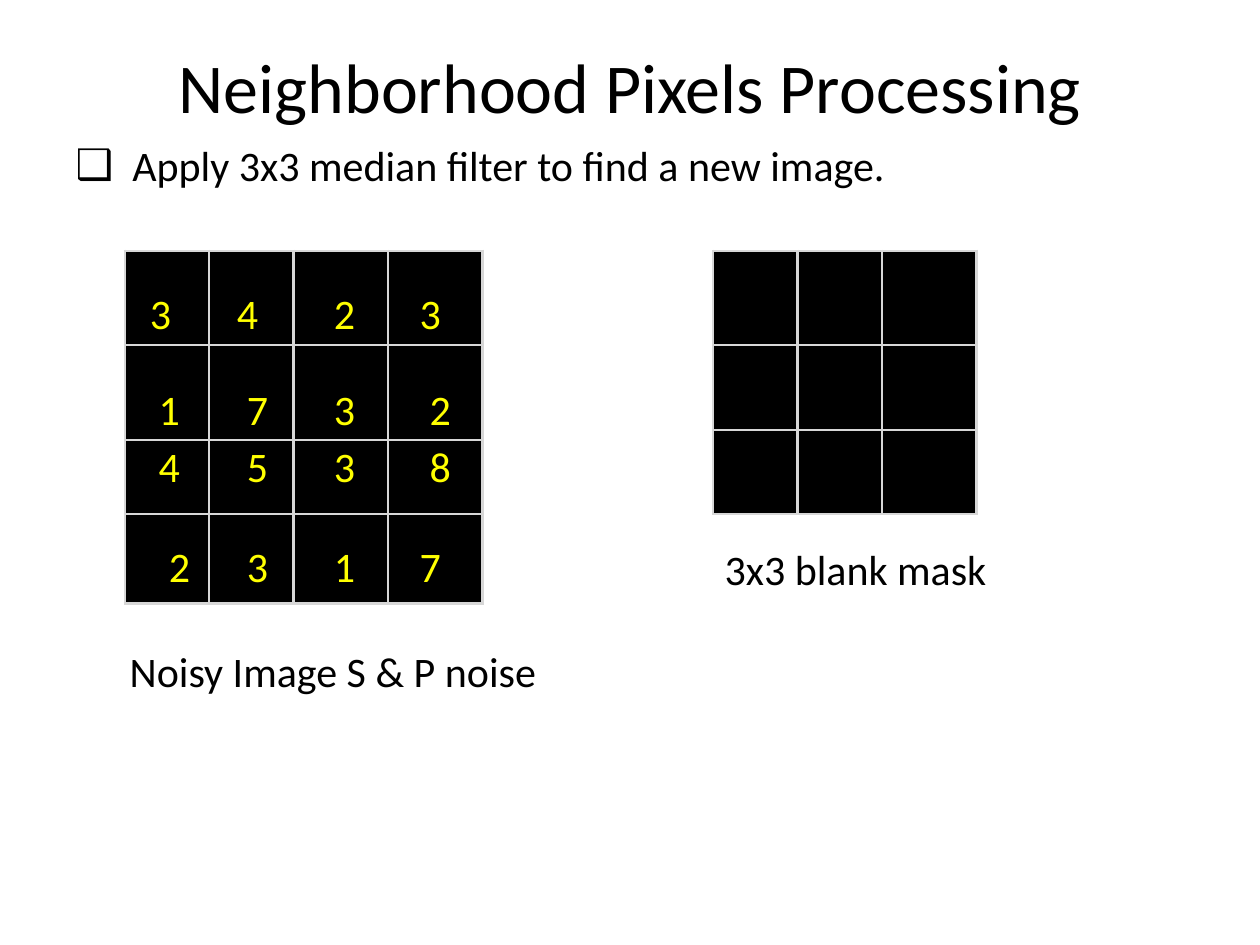
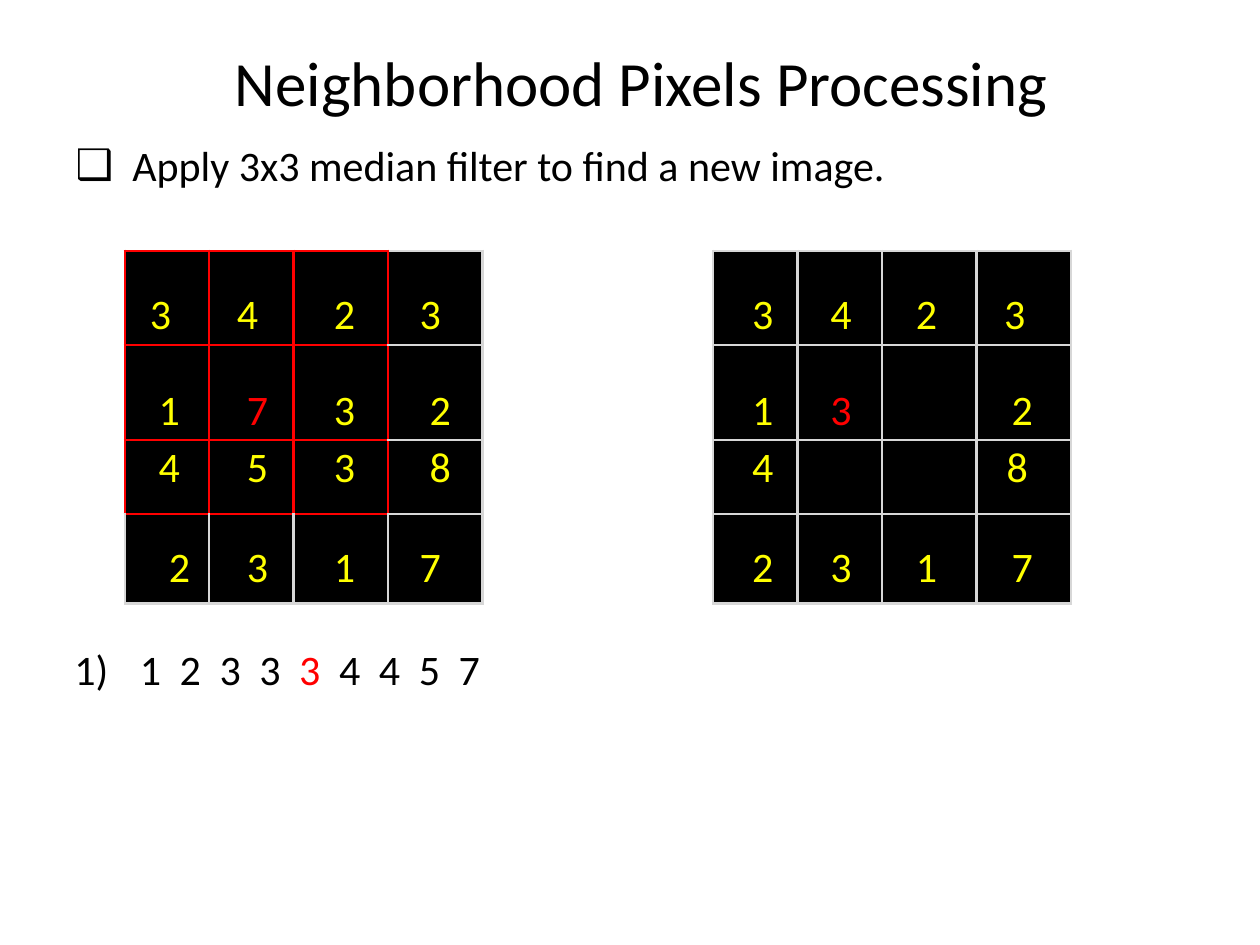
from dataclasses import dataclass
from itertools import product
from lxml import etree
from pptx import Presentation
from pptx import util as u
from pptx.dml.color import RGBColor
from pptx.enum import text
from pptx.oxml import ns


@dataclass
class Theme:
    font: str = "Calibri"
    size: int = 24
    ink: str = "000000"
    cell: str = "000000"
    digit: str = "FFFF00"
    hot: str = "FF0000"
    line: str = "D7D7D7"


look = Theme()
left, right, top = 0.99, 5.66, 1.99      # the two grids share a top edge
edge, lift = 0.59, 0.01                  # text margin and top inset
wide = [0.67, 0.67, 0.75, 0.75]
high = [0.75, 0.75, 0.59, 0.71]
drop = [0.31, 0.32, 0.02, 0.23]          # space above the digit in each row
noisy = ["3423", "1732", "4538", "2317"]
fresh = ["3423", "13 2", "4  8", "2317"]
noisy_in = [[0.2, 0.22, 0.32, 0.25], [0.27, 0.3, 0.32, 0.33],
            [0.27, 0.3, 0.32, 0.33], [0.35, 0.3, 0.32, 0.25]]
fresh_in = [[0.31, 0.26, 0.27, end] for end in (0.22, 0.28, 0.24, 0.28)]


def write(frame, lines, color=look.ink, size=look.size):
    """Fill a frame with lines and format every run."""
    frame.word_wrap = True
    frame.auto_size = text.MSO_AUTO_SIZE.NONE
    frame.margin_left = frame.margin_right = frame.margin_bottom = 0
    frame.margin_top = u.Inches(lift)
    frame.text = "\n".join(lines)
    for para in frame.paragraphs:
        for run in para.runs:
            run.font.name, run.font.size = look.font, u.Pt(size)
            run.font.color.rgb = RGBColor.from_string(color)
    return frame.paragraphs


def grid(slide, x, cols, rows, data=None, inset=None, mark=0, hot=None):
    """Draw a pixel grid; the first mark rows and columns get hot borders."""
    table = slide.shapes.add_table(
        len(rows), len(cols), u.Inches(x), u.Inches(top),
        u.Inches(sum(cols)), u.Inches(sum(rows))).table
    table.first_row = table.horz_banding = False
    for col, size in zip(table.columns, cols):
        col.width = u.Inches(size)
    for row, size in zip(table.rows, rows):
        row.height = u.Inches(size)
    for r, c in product(range(len(rows)), range(len(cols))):
        cell = table.cell(r, c)
        if data and data[r][c] != " ":
            write(cell.text_frame, [data[r][c]],
                  look.hot if (r, c) == hot else look.digit)
            cell.margin_left, cell.margin_top = u.Inches(inset[r][c]), u.Inches(drop[r])
            cell.margin_right = cell.margin_bottom = 0
        # Borders come before the fill in the cell properties
        props = cell._tc.get_or_add_tcPr()
        sides = {"lnL": r < mark and c <= mark, "lnR": r < mark and c < mark,
                 "lnT": r <= mark and c < mark, "lnB": r < mark and c < mark}
        for side, red in sides.items():
            line = etree.SubElement(props, ns.qn("a:" + side), w=str(u.Pt(1.5)))
            fill = etree.SubElement(line, ns.qn("a:solidFill"))
            etree.SubElement(fill, ns.qn("a:srgbClr"), val=look.hot if red else look.line)
        cell.fill.solid()
        cell.fill.fore_color.rgb = RGBColor.from_string(look.cell)


deck = Presentation()
deck.slide_width, deck.slide_height = u.Inches(10), u.Inches(7.5)

# Title and task line on both slides
slides = []
for x, tall, size in [(0.5, 0.69, 40), (edge, 0.62, 36)]:
    slide = deck.slides.add_slide(deck.slide_layouts[5])
    title = slide.shapes.title
    title.left, title.top = u.Inches(x), u.Inches(0.33)
    title.width, title.height = u.Inches(9), u.Inches(tall)
    head = write(title.text_frame, ["Neighborhood Pixels Processing"], size=size)[0]
    head.alignment = text.PP_ALIGN.CENTER
    title.text_frame.vertical_anchor = text.MSO_ANCHOR.MIDDLE

    task = slide.shapes.add_textbox(*map(u.Inches, (edge, 1.1, 6.45, 0.43)))
    para = write(task.text_frame, ["Apply 3x3 median filter to find a new image."])[0]
    props = para._p.get_or_add_pPr()
    props.set("marL", str(u.Inches(0.46)))
    props.set("indent", str(u.Inches(-0.45)))
    etree.SubElement(props, ns.qn("a:buFont"), typeface=look.font)
    etree.SubElement(props, ns.qn("a:buChar"), char="❑")
    slides.append(slide)
first, second = slides

# Slide 1: noisy image and blank mask
grid(first, left, wide, high, noisy, noisy_in)
note = first.shapes.add_textbox(*map(u.Inches, (1.03, 4.3, 6.8, 1.24)))
mask, noise = write(note.text_frame, ["3x3 blank mask", "Noisy Image S & P noise"])
mask.alignment = text.PP_ALIGN.RIGHT
noise.space_before = u.Pt(30)
grid(first, right, wide[:3], [0.75, 0.67, 0.67])

# Slide 2: result beside the marked window
grid(second, right, wide, high, fresh, fresh_in, hot=(1, 1))
grid(second, left, wide, high, noisy, noisy_in, mark=3, hot=(1, 1))

# Sorted values with the median in the hot colour; the box leaves room to spare
rank = second.shapes.add_textbox(*map(u.Inches, (edge, 5.1, 3.4, 0.43)))
para = write(rank.text_frame, ["1)"])[0]
stops = etree.SubElement(para._p.get_or_add_pPr(), ns.qn("a:tabLst"))
for i, value in enumerate("123334457"):
    stop = 0.52 + 2.53 * i / 8
    etree.SubElement(stops, ns.qn("a:tab"), pos=str(u.Inches(stop)), algn="l")
    run = para.add_run()
    run.text = "\t" + value
    run.font.name, run.font.size = look.font, u.Pt(look.size)
    run.font.color.rgb = RGBColor.from_string(look.hot if i == 4 else look.ink)

deck.save("out.pptx")
